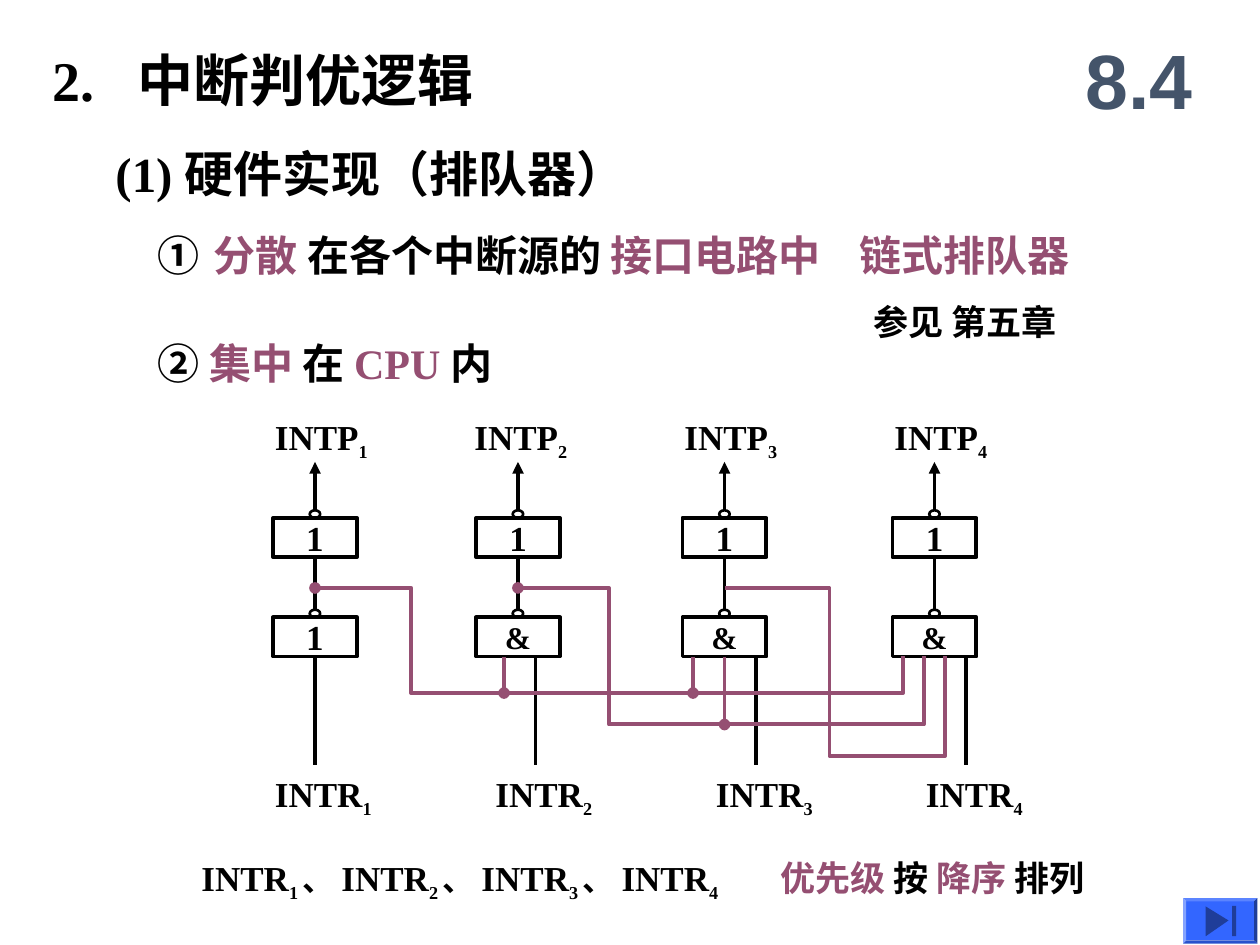
from dataclasses import dataclass
from typing import NamedTuple, Optional

from lxml import etree
from pptx import Presentation
from pptx.dml.color import RGBColor
from pptx.enum import shapes as shp, text as txt
from pptx.oxml import ns
from pptx.util import Pt

BLACK = RGBColor(0x00, 0x00, 0x00)
PLUM = RGBColor(0x95, 0x4F, 0x72)
SLATE = RGBColor(0x44, 0x54, 0x6A)
BLUE = RGBColor(0x33, 0x66, 0xFF)
NAVY = RGBColor(0x1F, 0x3D, 0x99)
SERIF = "Times New Roman"

GATE_W, GATE_H = 48, 22.4
UPPER_Y, LOWER_Y = 296, 352.8
GATE_BOTTOM = LOWER_Y + GATE_H
TAP_Y = 336  # where the plum wires leave the columns


class Span(NamedTuple):
    text: str
    color: RGBColor = BLACK
    size: Optional[float] = None
    subscript: bool = False


@dataclass
class Column:
    number: int
    center: float
    request_x: float
    output_label_x: float
    lower_symbol: str
    symbol_size: float


@dataclass
class Wire:
    points: list
    dot_at_start: bool


COLUMNS = [
    Column(1, 180, 180, 150, "1", 20),
    Column(2, 296, 306, 264, "&", 18),
    Column(3, 414, 432, 384, "&", 18),
    Column(4, 534, 552, 504, "&", 18),
]


def chain(start: float, turn: float, bus_y: float, end: float) -> list:
    return [(start, TAP_Y), (turn, TAP_Y), (turn, bus_y), (end, bus_y), (end, GATE_BOTTOM)]


WIRES = [
    Wire(chain(180, 235, 396, 516), True),
    Wire(chain(296, 348, 414, 528), True),
    Wire(chain(414, 474, 432, 540), False),
]
BRANCHES = [(288, 396), (396, 396), (414, 414)]  # x, bus y

prs = Presentation()
prs.slide_width, prs.slide_height = Pt(720), Pt(540)
slide = prs.slides.add_slide(prs.slide_layouts[6])
canvas = slide.shapes


def apply(target, values: dict) -> None:
    for key, value in values.items():
        setattr(target, key, value)


def write(paragraph, spans: list, size: float, font: str = SERIF) -> None:
    for span in spans:
        run = paragraph.add_run()
        run.text = span.text
        apply(run.font, {"name": font, "size": Pt(span.size or size), "bold": True})
        run.font.color.rgb = span.color
        if span.subscript:
            run._r.get_or_add_rPr().set("baseline", "-25000")


def add_text(box: tuple, spans: list, size: float, inset: float = 7.2, middle: bool = False,
             tab: float = 0, font: str = SERIF, align=txt.PP_ALIGN.LEFT) -> None:
    frame = canvas.add_textbox(*map(Pt, box)).text_frame
    anchor = txt.MSO_ANCHOR.MIDDLE if middle else txt.MSO_ANCHOR.TOP
    apply(frame, {"word_wrap": True, "vertical_anchor": anchor,
                  "margin_left": Pt(inset), "margin_right": Pt(inset)})
    paragraph = frame.paragraphs[0]
    paragraph.alignment = align
    if tab:
        stops = etree.SubElement(paragraph._p.get_or_add_pPr(), ns.qn("a:tabLst"))
        etree.SubElement(stops, ns.qn("a:tab"), pos=str(Pt(tab)), algn="l")
    write(paragraph, spans, size, font)


def style_line(line, color: RGBColor, width: float = 2.25, head: str = "", tail: str = "") -> None:
    line.color.rgb = color
    line.width = Pt(width)
    for tag, kind in (("a:headEnd", head), ("a:tailEnd", tail)):
        if kind:
            etree.SubElement(line._get_or_add_ln(), ns.qn(tag), type=kind)


def add_outline(kind, box: tuple, width: float):
    shape = canvas.add_shape(kind, *map(Pt, box))
    shape.shadow.inherit = False
    shape.fill.background()
    style_line(shape.line, BLACK, width)
    return shape


def add_gate(center: float, top: float, symbol: str, size: float):
    gate = add_outline(shp.MSO_SHAPE.RECTANGLE,
                       (center - GATE_W / 2, top, GATE_W, GATE_H), 2.25)
    frame = gate.text_frame
    margins = ("margin_left", "margin_right", "margin_top", "margin_bottom")
    apply(frame, {**dict.fromkeys(margins, 0), "vertical_anchor": txt.MSO_ANCHOR.MIDDLE})
    frame.paragraphs[0].alignment = txt.PP_ALIGN.CENTER
    write(frame.paragraphs[0], [Span(symbol)], size)
    add_outline(shp.MSO_SHAPE.OVAL, (center - 3, top - 4.4, 6, 4.4), 1.5)
    return gate


def add_straight(start: tuple, end: tuple, color: RGBColor = BLACK, tail: str = "", gate=None) -> None:
    link = canvas.add_connector(shp.MSO_CONNECTOR.STRAIGHT, *map(Pt, start + end))
    if gate is not None:
        link.begin_connect(gate, 2)
    style_line(link.line, color, tail=tail)
    etree.SubElement(link._element.spPr, ns.qn("a:effectLst"))


def add_path(points: list, close: bool = False):
    builder = canvas.build_freeform(*points[0], scale=Pt(1))
    builder.add_line_segments(points[1:], close=close)
    path = builder.convert_to_shape()
    path.shadow.inherit = False
    return path


def paint(shape, color: RGBColor) -> None:
    shape.shadow.inherit = False
    shape.fill.solid()
    shape.fill.fore_color.rgb = color
    shape.line.fill.background()


# Headings
add_text((30, 24, 306, 42), [Span("2.\t中断判优逻辑")], 32, 0, True, tab=48.5)
add_text((66, 78, 414, 42), [Span("(1) 硬件实现（排队器）")], 28, 0, True)
add_text((90, 120, 594, 42),
         [Span("①"), Span(" ", size=36), Span("分散 ", PLUM), Span("在各个中断源的 "),
          Span("接口电路中\t链式排队器", PLUM)], 24, 0, True, tab=401)
add_text((90, 186, 414, 42),
         [Span("② "), Span("集中 ", PLUM), Span("在 "), Span("CPU ", PLUM), Span("内")],
         24, 0, True)
add_text((492, 168, 186, 32), [Span("参见 第五章")], 20)
add_text((606, 12, 90, 66), [Span("8.4", SLATE)], 44, middle=True, font="Arial",
         align=txt.PP_ALIGN.CENTER)

# Gate columns with their inputs and outputs
lower_gates = {}
for col in COLUMNS:
    index = Span(str(col.number), size=18, subscript=True)
    upper = add_gate(col.center, UPPER_Y, "1", 20)
    lower = add_gate(col.center, LOWER_Y, col.lower_symbol, col.symbol_size)
    lower_gates[col.center] = lower
    add_straight((col.center, UPPER_Y + GATE_H), (col.center, 349), gate=upper)
    add_straight((col.center, 291.6), (col.center, 264), tail="triangle")
    add_straight((col.request_x, GATE_BOTTOM), (col.request_x, 437),
                 gate=lower if col.request_x == col.center else None)
    add_text((col.output_label_x, 234, 84, 34), [Span("INTP"), index], 20)
    add_text((col.request_x - 30, 438, 120, 34), [Span("INTR"), index], 20)

# Priority chain
for wire in WIRES:
    route = add_path(wire.points)
    route.fill.background()
    style_line(route.line, PLUM, head="oval" if wire.dot_at_start else "")
for x, bus_y in BRANCHES:
    add_straight((x, GATE_BOTTOM), (x, bus_y), PLUM, "oval", lower_gates.get(x))

# Priority order
order = []
for col in COLUMNS:
    last = col is COLUMNS[-1]
    order += [Span("INTR"), Span(f"{col.number}" + ("\t" if last else " "), size=18, subscript=True)]
    if not last:
        order.append(Span("、 ", size=18))
order += [Span("优先级 ", PLUM), Span("按 "), Span("降序 ", PLUM), Span("排列")]
add_text((108, 486, 558, 34), order, 20, tab=331)

# Skip-to-end button
button = canvas.add_shape(shp.MSO_SHAPE.BEVEL, Pt(676), Pt(513.2), Pt(42.5), Pt(26))
button.adjustments[0] = 0.07
paint(button, BLUE)
paint(add_path([(702, 526.2), (689, 535), (689, 517.6)], close=True), NAVY)
paint(canvas.add_shape(shp.MSO_SHAPE.RECTANGLE, Pt(704), Pt(517.6), Pt(2.4), Pt(17.4)), NAVY)

prs.save("out.pptx")
